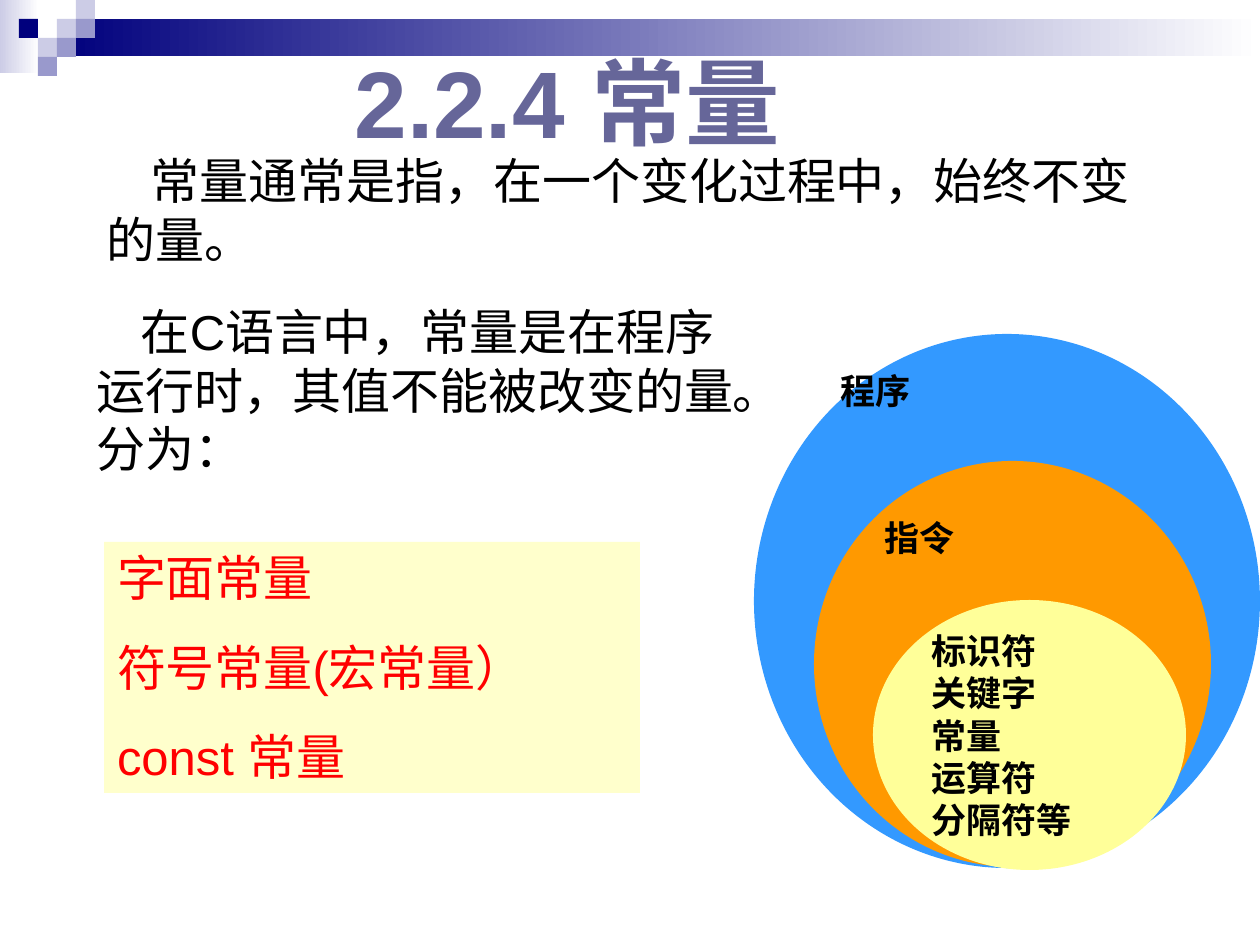
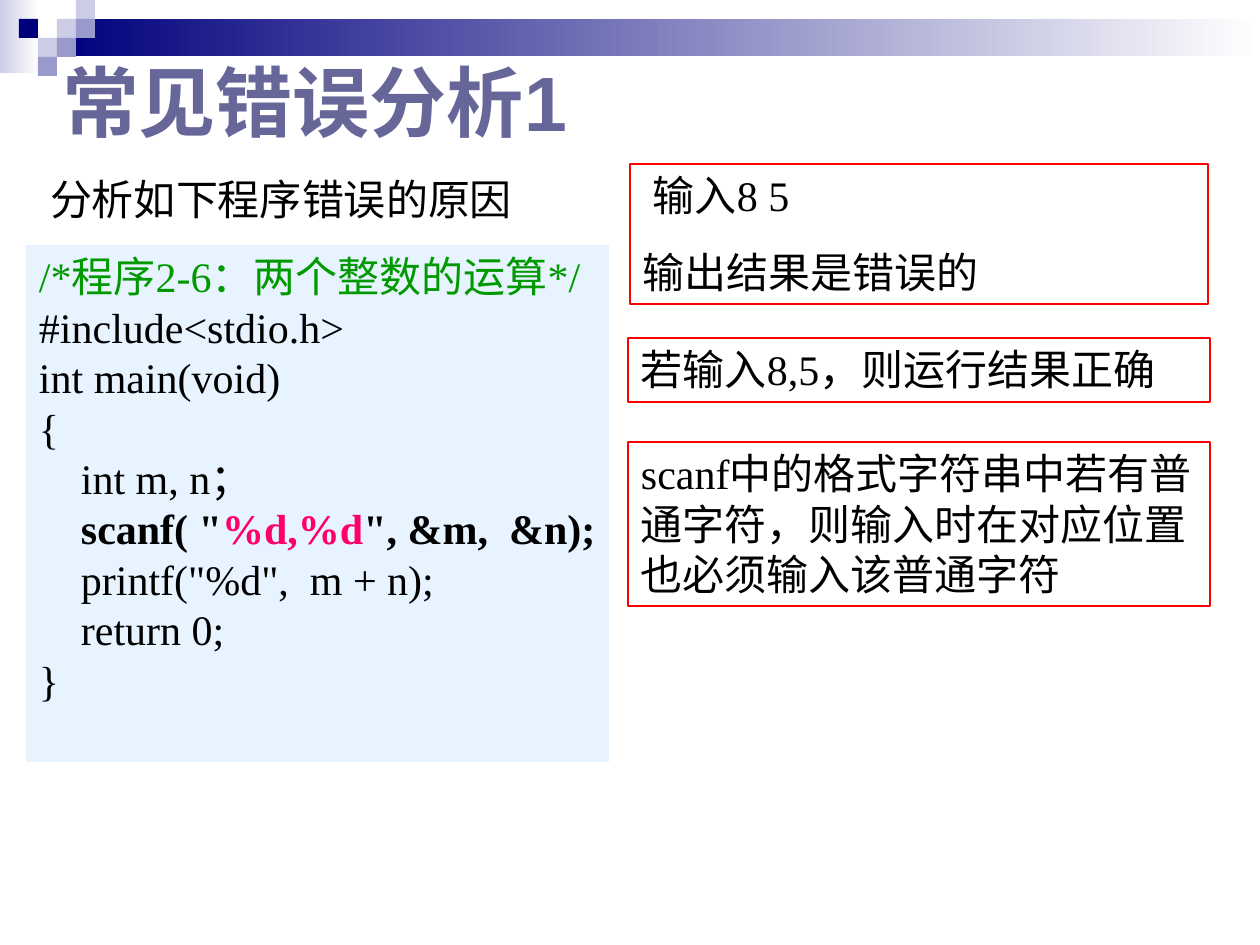
from lxml import etree
from pptx import Presentation
from pptx.dml.color import RGBColor
from pptx.enum.shapes import MSO_SHAPE
from pptx.enum.text import MSO_ANCHOR, PP_ALIGN
from pptx.oxml.ns import qn
from pptx.util import Emu, Pt

RECT, OVAL = MSO_SHAPE.RECTANGLE, MSO_SHAPE.OVAL
TOP, MIDDLE = MSO_ANCHOR.TOP, MSO_ANCHOR.MIDDLE
LEFT, CENTER = PP_ALIGN.LEFT, PP_ALIGN.CENTER
PX_PER_INCH = 126
SANS, SERIF, CJK = "Arial", "Times New Roman", "Noto Sans CJK SC"
NAVY, LAVENDER, VIOLET, WHITE = "00007D", "CCCCE6", "9999CC", "FFFFFF"
TITLE, BLACK, RED, PINK, GREEN = "666699", "000000", "FF0000", "FF0066", "009900"
SQUARE = 19
SQUARES = [(3, 1, LAVENDER), (4, 0, LAVENDER), (4, 1, VIOLET), (2, 2, LAVENDER),
           (1, 1, NAVY), (3, 2, VIOLET), (2, 3, VIOLET)]
CODE = [
    [("/*程序2-6：两个整数的运算*/", {"color": GREEN})],
    "#include<stdio.h>",
    "int main(void)",
    "{",
    "    int m, n；",
    [('    scanf( "', {"bold": True}), ("%d,%d", {"bold": True, "color": PINK}),
     ('", &m,  &n);', {"bold": True})],
    '    printf("%d",  m + n);',
    "    return 0;",
    "}",
]


def px(length):
    """Turn px into EMU."""
    return Emu(round(length * 914400 / PX_PER_INCH))


def rgb(value):
    """Turn a hex string into a colour."""
    return RGBColor.from_string(value)


def add_block(slide, geometry, box, fill=None, line=None):
    """Add a preset shape with a plain fill, a gradient pair or no fill."""
    block = slide.shapes.add_shape(geometry, *map(px, box))
    block.shadow.inherit = False
    if isinstance(fill, tuple):
        block.fill.gradient()
        block.fill.gradient_angle = 0
        for stop, color, position in zip(block.fill.gradient_stops, fill, (0, 1)):
            stop.color.rgb = rgb(color)
            stop.position = position
    elif fill:
        block.fill.solid()
        block.fill.fore_color.rgb = rgb(fill)
    else:
        block.fill.background()
    if line:
        block.line.color.rgb = rgb(line)
        block.line.width = Pt(0.75)
    else:
        block.line.fill.background()
    return block


def add_run(paragraph, text, size, font=SANS, color=BLACK, bold=False):
    """Add one styled run, with a typeface for Chinese characters."""
    run = paragraph.add_run()
    run.text = text
    run.font.size = Pt(size)
    run.font.name = font
    run.font.bold = bold
    run.font.color.rgb = rgb(color)
    east_asian = etree.SubElement(run.font._element, qn("a:ea"))
    east_asian.set("typeface", CJK)


def write(holder, lines, size, anchor=TOP, align=LEFT, gap=0, indent=0,
          inset=(13, 6), **style):
    """Fill a shape with paragraphs, each a string or a list of styled runs."""
    frame = holder.text_frame
    frame.word_wrap = True
    frame.vertical_anchor = anchor
    frame.margin_left = frame.margin_right = px(inset[0])
    frame.margin_top = frame.margin_bottom = px(inset[1])
    for number, line in enumerate(lines):
        paragraph = frame.add_paragraph() if number else frame.paragraphs[0]
        paragraph.alignment = align
        if number:
            paragraph.space_before = Pt(gap)
        elif indent:
            paragraph._p.get_or_add_pPr().set("indent", str(px(indent)))
        for text, extra in [(line, {})] if isinstance(line, str) else line:
            add_run(paragraph, text, size, **{**style, **extra})


def add_text(slide, box, lines, size, **options):
    """Add a text box."""
    write(slide.shapes.add_textbox(*map(px, box)), lines, size, **options)


def add_titled_slide(deck, title, box, size, align=LEFT):
    """Add a slide with the shared band, squares and title."""
    slide = deck.slides.add_slide(deck.slide_layouts[6])
    add_block(slide, RECT, (0, 0, 39, 73), (LAVENDER, WHITE))
    add_block(slide, RECT, (57, 19, 1203, 37), (NAVY, WHITE))
    for column, row, color in SQUARES:
        add_block(slide, RECT, (column * SQUARE, row * SQUARE, SQUARE, SQUARE), color)
    add_text(slide, box, [title], size, anchor=MIDDLE, align=align,
             color=TITLE, bold=True)
    return slide


def build_constants(deck):
    """Build the slide that defines constants."""
    slide = add_titled_slide(deck, "2.2.4 常量", (0, 59, 1135, 84), 54, CENTER)
    add_block(slide, OVAL, (754, 334, 506, 534), "3399FF")
    add_block(slide, OVAL, (814, 461, 397, 406), "FF9900")
    elements = add_block(slide, OVAL, (873, 600, 313, 270), "FFFF99")
    write(elements, ["标识符", "关键字", "常量", "运算符", "分隔符等"], 20,
          anchor=MIDDLE, bold=True)
    for level, left, top in (("程序", 841, 369), ("指令", 885, 516)):
        add_text(slide, (left, top, 90, 42), [level], 20, inset=(0, 0), bold=True)
    kinds = add_block(slide, RECT, (104, 542, 536, 251), "FFFFCC")
    write(kinds, ["字面常量", "符号常量(宏常量）", "const 常量"], 28,
          gap=17.5, color=RED)
    add_text(slide, (94, 144, 1071, 131),
             ["常量通常是指，在一个变化过程中，始终不变的量。"], 28,
             anchor=MIDDLE, indent=44)
    add_text(slide, (84, 295, 665, 189),
             ["在C语言中，常量是在程序运行时，其值不能被改变的量。分为："], 28,
             anchor=MIDDLE, indent=44)


def build_errors(deck):
    """Build the slide that analyses a common input error."""
    slide = add_titled_slide(deck, "常见错误分析1", (49, 37, 1140, 128), 44)
    code = add_block(slide, RECT, (26, 245, 583, 517), "E7F3FF")
    write(code, CODE, 24, font=SERIF)
    notes = [
        ((630, 164, 578, 140), ["输入8 5", "输出结果是错误的"], 10),
        ((628, 338, 582, 64), ["若输入8,5，则运行结果正确"], 0),
        ((628, 442, 582, 164),
         ["scanf中的格式字符串中若有普通字符，则输入时在对应位置也必须输入该普通字符"], 0),
    ]
    for box, lines, indent in notes:
        note = add_block(slide, RECT, box, line=RED)
        write(note, lines, 24, gap=15, indent=indent, font=SERIF)
    add_text(slide, (37, 168, 520, 63), ["分析如下程序错误的原因"], 24, font=CJK)


def main():
    """Build and save the deck."""
    deck = Presentation()
    deck.slide_width, deck.slide_height = px(1260), px(945)
    build_constants(deck)
    build_errors(deck)
    deck.save("out.pptx")


if __name__ == "__main__":
    main()
